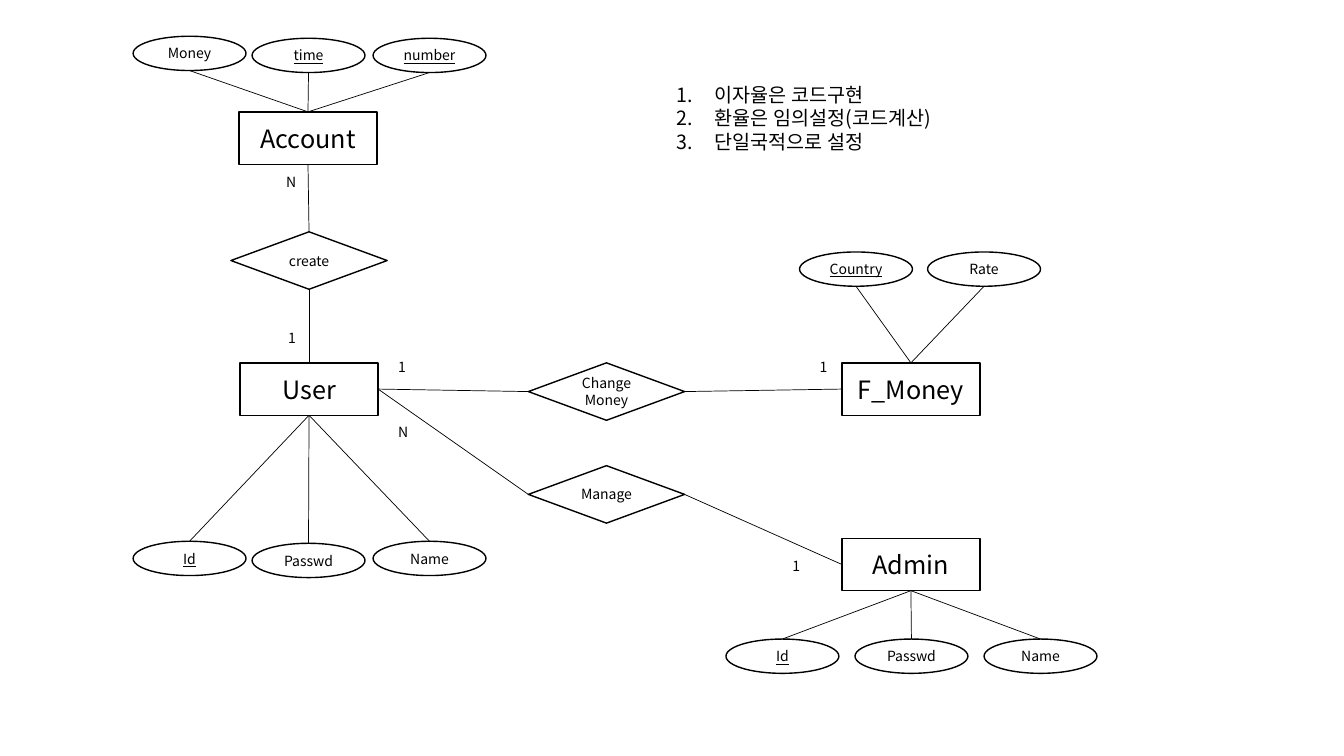
from pptx import Presentation
from pptx.dml.color import RGBColor
from pptx.enum.shapes import MSO_CONNECTOR, MSO_SHAPE
from pptx.enum.text import MSO_ANCHOR, MSO_AUTO_SIZE, PP_ALIGN
from pptx.oxml.ns import qn
from pptx.util import Inches, Pt
from lxml import etree

BLACK = RGBColor(0, 0, 0)
WHITE = RGBColor(255, 255, 255)
FONT = "Noto Sans CJK KR"
ENTITY_SIZE = (1.37, 0.52)
ATTRIBUTE_SIZE = (1.12, 0.34)
RELATION_SIZE = (1.55, 0.57)


def style_text(frame, size, underline=None):
    """Apply the diagram's font to every run."""
    for paragraph in frame.paragraphs:
        for run in paragraph.runs:
            run.font.name = FONT
            run.font.size = Pt(size)
            run.font.underline = underline
            run.font.color.rgb = BLACK
            east_asian = etree.SubElement(run.font._element, qn("a:ea"))
            east_asian.set("typeface", FONT)


def add_node(slide, preset, label, left, top, dimensions, size, key=None):
    """Add an outlined shape with a centred label."""
    width, height = dimensions
    node = slide.shapes.add_shape(
        preset, Inches(left), Inches(top), Inches(width), Inches(height))
    node.shadow.inherit = False
    node.fill.solid()
    node.fill.fore_color.rgb = WHITE
    node.line.color.rgb = BLACK
    node.line.width = Pt(1)
    frame = node.text_frame
    frame.text = label
    frame.vertical_anchor = MSO_ANCHOR.MIDDLE
    frame.paragraphs[0].alignment = PP_ALIGN.CENTER
    style_text(frame, size, key)
    return node


def add_entity(slide, label, left, top):
    """Add an entity rectangle."""
    return add_node(slide, MSO_SHAPE.RECTANGLE, label, left, top, ENTITY_SIZE, 18)


def add_relation(slide, label, left, top):
    """Add a relationship diamond."""
    return add_node(slide, MSO_SHAPE.FLOWCHART_DECISION, label, left, top,
                    RELATION_SIZE, 10)


def side_point(node, side):
    """Return the middle of one side of a node."""
    across, down = {"top": (0.5, 0), "bottom": (0.5, 1),
                    "left": (0, 0.5), "right": (1, 0.5)}[side]
    return (int(node.left + node.width * across),
            int(node.top + node.height * down))


def connect(slide, start, start_side, end, end_side):
    """Join two nodes with a thin straight line."""
    link = slide.shapes.add_connector(
        MSO_CONNECTOR.STRAIGHT,
        *side_point(start, start_side), *side_point(end, end_side))
    link.line.color.rgb = BLACK
    link.line.width = Pt(0.5)
    etree.SubElement(link._element.spPr, qn("a:effectLst"))


def add_attributes(slide, entity, entity_side, attributes):
    """Add attribute ovals and tie each to its entity."""
    oval_side = "bottom" if entity_side == "top" else "top"
    for label, left, top, key in attributes:
        oval = add_node(slide, MSO_SHAPE.FLOWCHART_CONNECTOR, label, left, top,
                        ATTRIBUTE_SIZE, 10, key)
        connect(slide, entity, entity_side, oval, oval_side)


def add_text(slide, text, left, top, width, height, size):
    """Add a text box and return its frame."""
    box = slide.shapes.add_textbox(
        Inches(left), Inches(top), Inches(width), Inches(height))
    frame = box.text_frame
    frame.word_wrap = True
    frame.auto_size = MSO_AUTO_SIZE.SHAPE_TO_FIT_TEXT
    frame.text = text
    style_text(frame, size)
    return frame


def add_numbered_notes(slide, notes):
    """Add the automatically numbered notes."""
    frame = add_text(slide, "\n".join(notes), 6.61, 0.77, 2.99, 0.81, 14)
    for paragraph in frame.paragraphs:
        properties = paragraph._p.get_or_add_pPr()
        properties.set("marL", str(Inches(0.38)))
        properties.set("indent", str(Inches(-0.38)))
        etree.SubElement(properties, qn("a:buFont")).set("typeface", FONT)
        etree.SubElement(properties, qn("a:buAutoNum")).set("type", "arabicPeriod")


def main():
    """Build the entity-relationship diagram."""
    deck = Presentation()
    deck.slide_width, deck.slide_height = Inches(13.33), Inches(7.5)
    slide = deck.slides.add_slide(deck.slide_layouts[6])

    account = add_entity(slide, "Account", 2.37, 1.11)
    user = add_entity(slide, "User", 2.38, 3.6)
    foreign_money = add_entity(slide, "F_Money", 8.35, 3.6)
    admin = add_entity(slide, "Admin", 8.35, 5.34)

    create = add_relation(slide, "create", 2.29, 2.3)
    change_money = add_relation(slide, "Change\vMoney", 5.24, 3.6)
    manage = add_relation(slide, "Manage", 5.24, 4.62)

    add_attributes(slide, account, "top", [
        ("Money", 1.32, 0.36, None), ("time", 2.5, 0.38, True),
        ("number", 3.7, 0.38, True)])
    add_attributes(slide, user, "bottom", [
        ("Id", 1.32, 5.37, True), ("Passwd", 2.5, 5.39, None),
        ("Name", 3.7, 5.37, None)])
    add_attributes(slide, foreign_money, "top", [
        ("Country", 7.93, 2.5, True), ("Rate", 9.2, 2.5, None)])
    add_attributes(slide, admin, "bottom", [
        ("Id", 7.2, 6.34, True), ("Passwd", 8.48, 6.34, None),
        ("Name", 9.76, 6.34, None)])

    connect(slide, account, "bottom", create, "top")
    connect(slide, create, "bottom", user, "top")
    for relation, target in ((change_money, foreign_money), (manage, admin)):
        connect(slide, user, "right", relation, "left")
        connect(slide, relation, "right", target, "left")

    for cardinality, left, top in (
            ("N", 2.74, 1.67), ("1", 2.76, 3.22), ("1", 3.85, 3.51),
            ("N", 3.85, 4.15), ("1", 8.03, 3.51), ("1", 7.76, 5.48)):
        add_text(slide, cardinality, left, top, 0.35, 0.27, 10)

    add_numbered_notes(slide, [
        "이자율은 코드구현", "환율은 임의설정(코드계산)", "단일국적으로 설정"])
    deck.save("out.pptx")


main()
